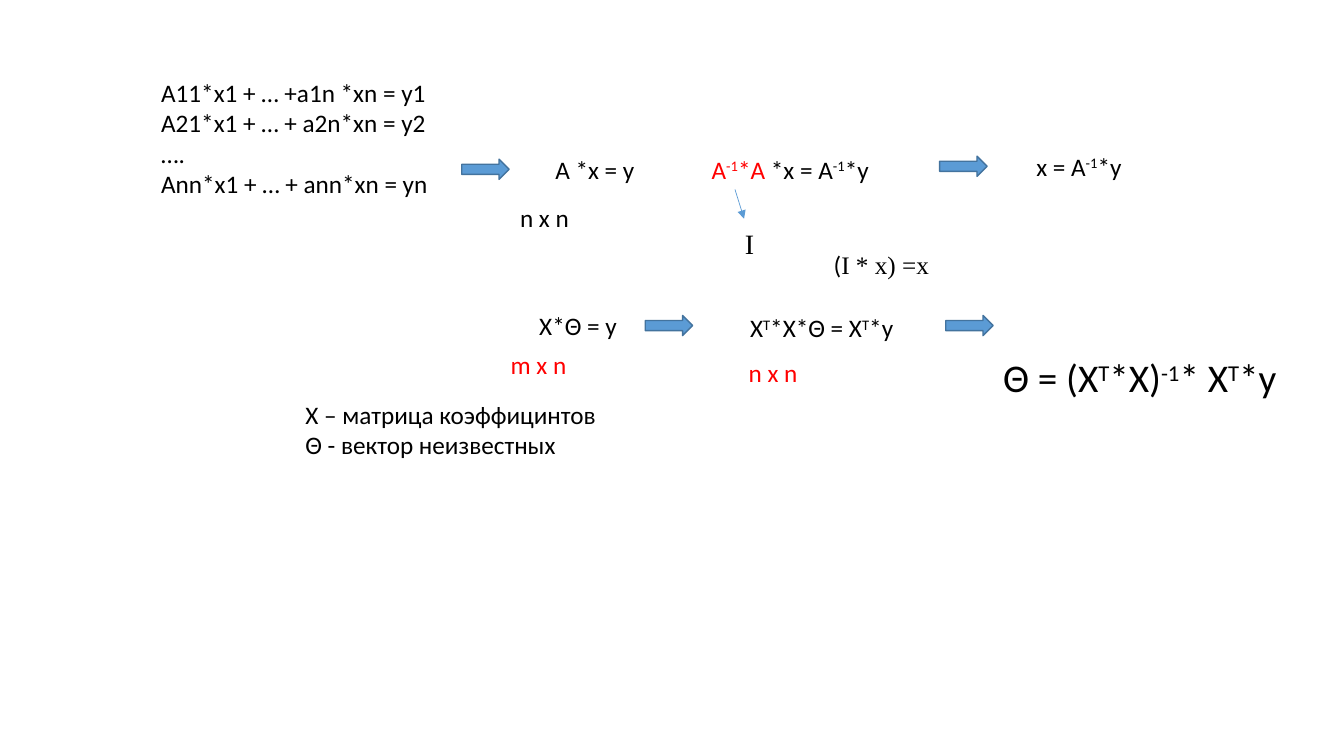
"""Build a slide that derives the normal equation from a linear system."""
from lxml.etree import SubElement
from pptx import Presentation
from pptx.dml.color import RGBColor
from pptx.enum.shapes import MSO_CONNECTOR, MSO_SHAPE
from pptx.enum.text import MSO_AUTO_SIZE
from pptx.oxml.ns import qn
from pptx.util import Inches, Pt

COLORS = {"black": "000000", "red": "FF0000", "blue": "5B9BD5", "edge": "43739E"}
SANS, SERIF = "Calibri", "Times New Roman"

# Text between carets is superscript. Each part is (text, color, font).
SYSTEM = ["A11*x1 + … +a1n *xn = y1", "A21*x1 + … + a2n*xn = y2",
          "….", "Ann*x1 + … + ann*xn = yn"]
LEGEND = ["X – матрица коэффицинтов", "Θ - вектор неизвестных"]
INVERSE = [("A^-1^*A", "red", SANS), (" *x = A^-1^*y", "black", SANS)]
UNIT = [("(", "black", SANS), ("I * x) =x", "black", SERIF)]


def plain(text, color="black", font=SANS):
    return [(text, color, font)]


# Left, top, width, height, size, lines
TEXTS = [
    (1.5, 0.72, 2.86, 1.31, 18, [plain(row) for row in SYSTEM]),
    (5.06, 1.96, 0.69, 0.4, 18, [plain("n x n")]),
    (5.41, 1.48, 1, 0.4, 18, [plain("A *x = y")]),
    (6.96, 1.48, 1.81, 0.4, 18, [INVERSE]),
    (7.29, 2.2, 0.29, 0.44, 20, [plain("I", font=SERIF)]),
    (8.17, 2.42, 1.37, 0.4, 18, [UNIT]),
    (10.18, 1.45, 1.07, 0.4, 18, [plain("x = A^-1^*y")]),
    (5.25, 3.03, 1, 0.4, 18, [plain("X*Θ = y")]),
    (2.93, 3.91, 3.12, 0.71, 18, [plain(row) for row in LEGEND]),
    (4.91, 3.42, 0.82, 0.4, 18, [plain(" m x n", "red")]),
    (7.34, 3.05, 1.68, 0.4, 18, [plain("X^T^*X*Θ = X^T^*y")]),
    (7.27, 3.5, 0.75, 0.4, 18, [plain(" n x n", "red")]),
    (9.85, 3.46, 3.04, 0.57, 28, [plain("Θ = (X^T^*X)^-1^* X^T^*y")]),
]
ARROWS = [(4.58, 1.58), (9.32, 1.55), (6.4, 3.13), (9.38, 3.13)]
ARROW_SIZE = (0.47, 0.2)
POINTER = (7.29, 1.88, 7.38, 2.17)


def rgb(name):
    return RGBColor.from_string(COLORS[name])


def inches(*values):
    return [Inches(value) for value in values]


def add_part(para, text, color, font):
    for index, piece in enumerate(text.split("^")):
        run = para.add_run()
        run.text = piece
        run.font.name = font
        run.font.color.rgb = rgb(color)
        if index % 2:
            run._r.get_or_add_rPr().set("baseline", "30000")


def add_text(slide, left, top, width, height, size, lines):
    frame = slide.shapes.add_textbox(*inches(left, top, width, height)).text_frame
    frame.word_wrap = False
    frame.auto_size = MSO_AUTO_SIZE.SHAPE_TO_FIT_TEXT
    for index, parts in enumerate(lines):
        para = frame.add_paragraph() if index else frame.paragraphs[0]
        para.font.size = Pt(size)
        for part in parts:
            add_part(para, *part)


def add_arrow(slide, left, top):
    arrow = slide.shapes.add_shape(MSO_SHAPE.RIGHT_ARROW, *inches(left, top, *ARROW_SIZE))
    arrow.shadow.inherit = False
    arrow.fill.solid()
    arrow.fill.fore_color.rgb = rgb("blue")
    arrow.line.color.rgb = rgb("edge")
    arrow.line.width = Pt(1)


def add_pointer(slide):
    line = slide.shapes.add_connector(MSO_CONNECTOR.STRAIGHT, *inches(*POINTER))
    line.line.color.rgb = rgb("blue")
    line.line.width = Pt(0.5)
    SubElement(line.line._get_or_add_ln(), qn("a:tailEnd"), type="triangle")
    SubElement(line._element.spPr, qn("a:effectLst"))


def main():
    deck = Presentation()
    deck.slide_width, deck.slide_height = inches(13.33, 7.5)
    slide = deck.slides.add_slide(deck.slide_layouts[6])
    for text in TEXTS:
        add_text(slide, *text)
    for spot in ARROWS:
        add_arrow(slide, *spot)
    add_pointer(slide)
    deck.save("out.pptx")


if __name__ == "__main__":
    main()
